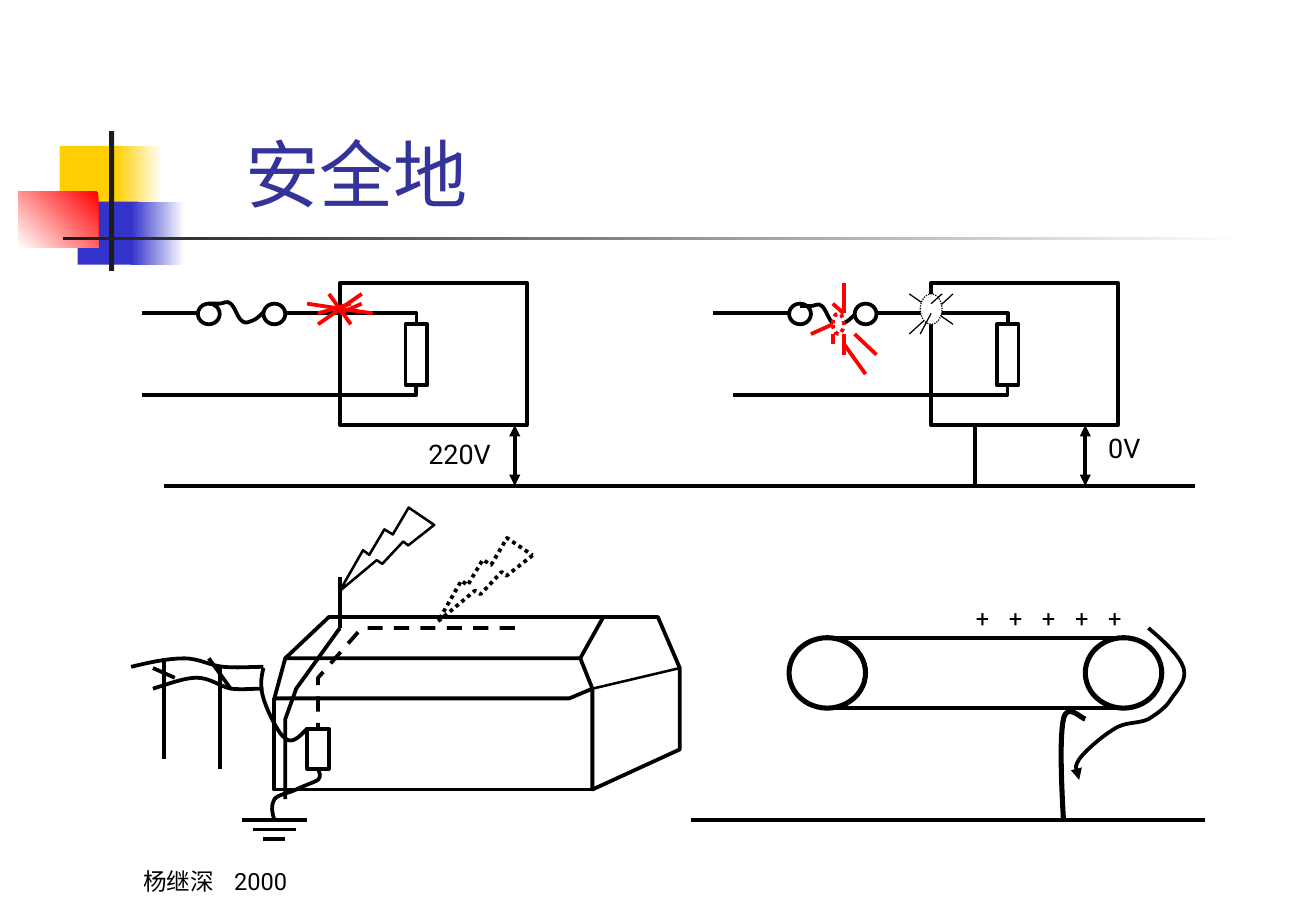
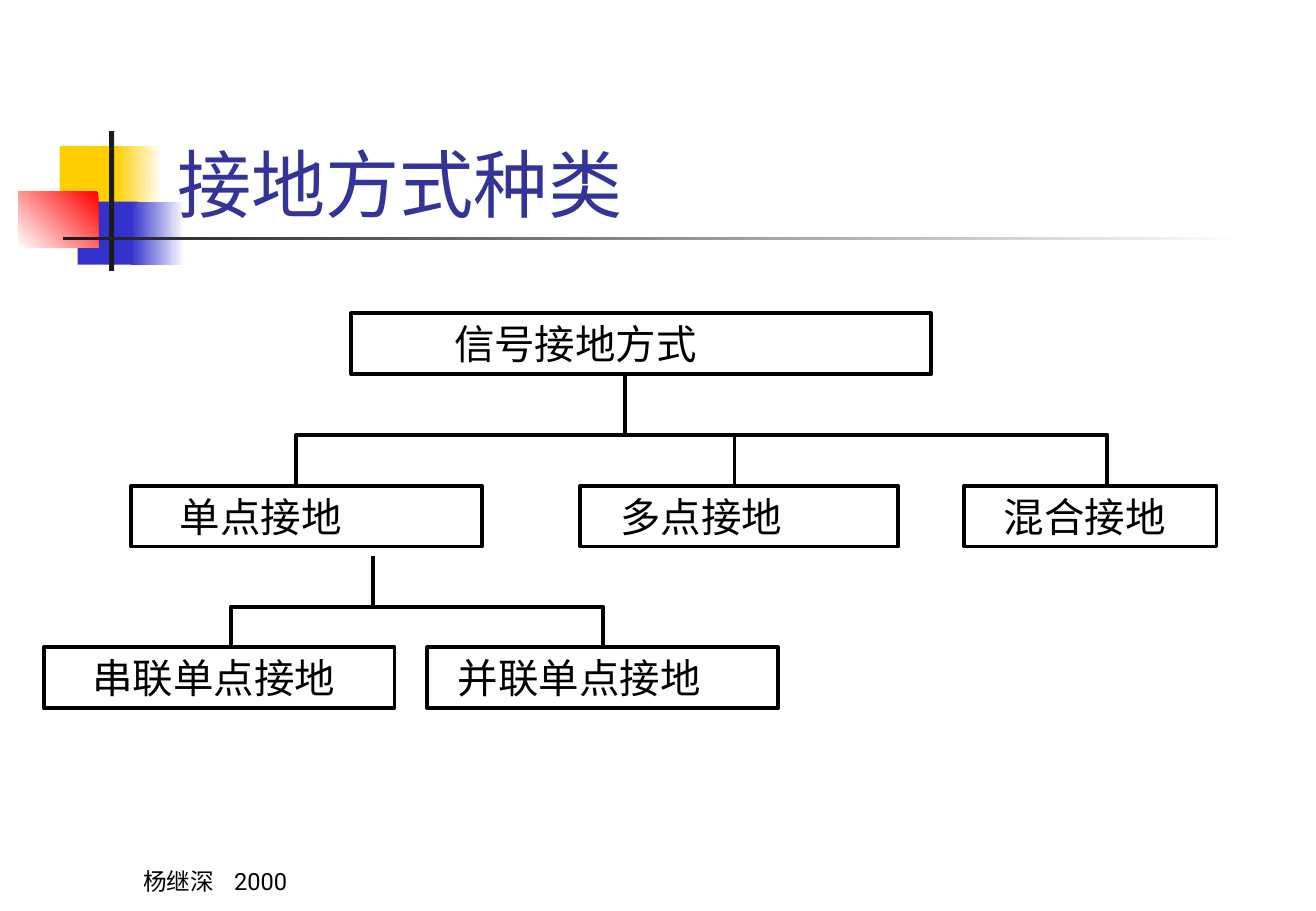
from dataclasses import dataclass

from lxml.etree import SubElement
from pptx import Presentation
from pptx.dml.color import RGBColor
from pptx.enum.dml import MSO_LINE as Dash
from pptx.enum.shapes import MSO_CONNECTOR as Connector, MSO_SHAPE as Preset
from pptx.enum.text import MSO_ANCHOR as Anchor, MSO_AUTO_SIZE as AutoSize, PP_ALIGN as Align
from pptx.oxml.ns import qn
from pptx.util import Inches, Pt


@dataclass(frozen=True)
class Theme:
    font: str = "Roboto"
    ink: str = "000000"
    title: str = "333399"
    white: str = "FFFFFF"
    yellow: str = "FFCF01"
    blue: str = "3333CC"
    red: str = "FF0000"
    charcoal: str = "1C1C1C"
    title_size: float = 44
    box_size: float = 24
    label_size: float = 16
    small_size: float = 14
    thin: float = 0.75
    medium: float = 1.5
    normal: float = 2.25
    heavy: float = 3


THEME = Theme()


def write(frame, text, size=THEME.small_size, color=THEME.ink, anchor=Anchor.TOP,
          indent=0, tab=None):
    """Put one left-aligned paragraph in a text frame."""
    frame.word_wrap = True
    frame.auto_size = AutoSize.NONE
    frame.vertical_anchor = anchor
    paragraph = frame.paragraphs[0]
    paragraph.text = text
    paragraph.alignment = Align.LEFT
    properties = paragraph.runs[0].font
    properties.name = THEME.font
    properties.size = Pt(size)
    properties.color.rgb = RGBColor.from_string(color)
    if indent:
        frame.margin_left = Inches(0.1 + indent)
    if tab:
        tabs = SubElement(paragraph._p.get_or_add_pPr(), qn("a:tabLst"))
        SubElement(tabs, qn("a:tab"), pos=str(Inches(tab)), algn="l")


class Deck:
    """The presentation, its style and the slide being drawn."""

    def __init__(self, theme):
        self.theme = theme
        self.presentation = Presentation()
        self.presentation.slide_width = Inches(10.84)
        self.presentation.slide_height = Inches(7.5)
        self.layout = self.presentation.slide_layouts[5]
        self.slide = None
        self.has_decoration = False

    def new_slide(self, title, place):
        self.slide = self.presentation.slides.add_slide(self.layout)
        if not self.has_decoration:
            self.decorate_layout()
        shape = self.slide.shapes.title
        shape.left, shape.top, shape.width, shape.height = map(Inches, place)
        write(shape.text_frame, title, size=self.theme.title_size,
              color=self.theme.title, anchor=Anchor.BOTTOM)
        self.label("杨继深\t2000", (1.08, 6.92, 2.26, 0.5),
                   anchor=Anchor.BOTTOM, tab=0.75)

    def decorate_layout(self):
        """Draw the squares and rules once, on the layout."""
        theme = self.theme
        parts = [
            ((0.49, 1.2, 0.52, 0.52), theme.yellow, None),
            ((0.95, 1.2, 0.39, 0.52), (theme.white, theme.yellow), 180),
            ((0.64, 1.66, 0.5, 0.52), theme.blue, None),
            ((1.08, 1.66, 0.44, 0.52), (theme.white, theme.blue), 180),
            ((0.15, 1.58, 0.66, 0.46), (theme.red, theme.white), 225),
            ((0.9, 1.08, 0.04, 1.15), theme.charcoal, None),
            ((0.52, 1.95, 9.75, 0.03), (theme.white, theme.charcoal), 180),
        ]
        for place, fill, angle in parts:
            shape = self.shape(place, fill=None if angle else fill, width=0)
            if angle:
                shape.fill.gradient()
                shape.fill.gradient_angle = angle
                for stop, color in zip(shape.fill.gradient_stops, fill):
                    stop.color.rgb = RGBColor.from_string(color)
            self.layout.shapes.element.append(shape.element)
        self.has_decoration = True

    def stroke(self, shape, color=THEME.ink, width=THEME.normal, dash=None,
               head=False, tail=False):
        line = shape.line
        if not width:
            line.fill.background()
            return
        line.color.rgb = RGBColor.from_string(color)
        line.width = Pt(width)
        if dash:
            line.dash_style = dash
        for wanted, tag in ((head, "a:headEnd"), (tail, "a:tailEnd")):
            if wanted:
                SubElement(shape._element.spPr.find(qn("a:ln")), qn(tag), type="triangle")

    def shape(self, place, kind=Preset.RECTANGLE, fill=None, rotation=0, **stroke):
        shape = self.slide.shapes.add_shape(kind, *map(Inches, place))
        shape.shadow.inherit = False
        shape.rotation = rotation
        if fill:
            shape.fill.solid()
            shape.fill.fore_color.rgb = RGBColor.from_string(fill)
        else:
            shape.fill.background()
        self.stroke(shape, **stroke)
        return shape

    def line(self, x1, y1, x2, y2, **stroke):
        connector = self.slide.shapes.add_connector(
            Connector.STRAIGHT, *map(Inches, (x1, y1, x2, y2)))
        SubElement(connector._element.spPr, qn("a:effectLst"))
        connector_line = connector.line
        connector_line.fill.solid()
        self.stroke(connector, **stroke)

    def outline(self, *points, closed=False, curved=False, **stroke):
        """Join points; when curved, each three after the first form a Bézier."""
        start, *rest = [(Inches(x), Inches(y)) for x, y in points]
        builder = self.slide.shapes.build_freeform(*start)
        builder.add_line_segments(rest, close=closed)
        shape = builder.convert_to_shape()
        shape.shadow.inherit = False
        shape.fill.background()
        self.stroke(shape, **stroke)
        if curved:
            route = next(shape.element.iter(qn("a:path")))
            segments = route.findall(qn("a:lnTo"))
            for first in range(0, len(segments), 3):
                bezier = SubElement(route, qn("a:cubicBezTo"))
                for segment in segments[first:first + 3]:
                    bezier.append(segment[0])
                    route.remove(segment)

    def label(self, text, place, **text_format):
        box = self.slide.shapes.add_textbox(*map(Inches, place))
        write(box.text_frame, text, **text_format)

    def text_box(self, text, place, indent):
        shape = self.shape(place)
        write(shape.text_frame, text, size=self.theme.box_size, indent=indent)


def draw_circuit(deck, left, fuse_drop):
    """Fuse, wires, load and enclosure; left is the end of the lower wire."""
    deck.shape((left + 2.17, 2.67, 0.18, 0.5))
    deck.shape((left + 1.63, 2.33, 1.54, 1.17))
    deck.outline((left + 1.18, 2.58), (left + 2.26, 2.58), (left + 2.26, 2.67))
    deck.outline((left, 3.25), (left + 2.26, 3.25), (left + 2.26, 3.17))
    for offset in (0.46, 1):
        deck.shape((left + offset, 2.5, 0.18, 0.17), Preset.OVAL)
    fuse = [(0.55, 2.5), (0.58, 2.5), (0.61, 2.5), (0.64, 2.5), (0.67, 2.5),
            (0.7, 2.47), (0.73, 2.5), (0.76, 2.52), (0.79, 2.62), (0.82, 2.64),
            (0.85, 2.67), (0.88, 2.65), (0.91, 2.64), (0.94, 2.63), (0.97, 2.6),
            (1, 2.57)]
    deck.outline(*[(left + x, y + fuse_drop) for x, y in fuse], curved=True)


def draw_faults(deck):
    theme = deck.theme
    # Short to the enclosure, and the sparks of the blown fuse
    for ends in [
        (2.62, 2.58, 2.89, 2.5), (2.71, 2.42, 2.89, 2.67), (2.62, 2.67, 2.98, 2.42),
        (2.53, 2.5, 3.07, 2.58), (2.8, 2.58, 2.98, 2.5),
        (6.68, 2.75, 6.86, 2.67), (7.13, 3.08, 6.95, 2.83), (6.95, 2.33, 6.95, 2.58),
        (6.95, 2.92, 6.95, 2.75), (7.22, 2.92, 7.04, 2.75), (6.86, 2.5, 6.95, 2.58),
        (6.86, 2.75, 6.86, 2.83),
    ]:
        deck.line(*ends, color=theme.red)
    deck.shape((6.86, 2.58, 0.09, 0.17), Preset.OVAL, fill=theme.white,
               color=theme.red, dash=Dash.ROUND_DOT)
    # Fault point on the grounded enclosure
    for ends in [(7.85, 2.42, 7.49, 2.75), (7.49, 2.42, 7.85, 2.67)]:
        deck.line(*ends, width=theme.thin)
    deck.shape((7.58, 2.42, 0.18, 0.25), Preset.OVAL, fill=theme.white,
               width=theme.thin, dash=Dash.ROUND_DOT)
    for ends in [(7.67, 2.58, 7.58, 2.75), (7.67, 2.5, 7.76, 2.42)]:
        deck.line(*ends, width=theme.thin)


def draw_building(deck):
    theme = deck.theme
    # Roof and walls
    deck.outline((2.26, 5.75), (2.35, 5.42), (2.71, 5.08), (4.97, 5.08),
                 (4.78, 5.42), (2.35, 5.42), closed=True)
    deck.outline((2.26, 5.75), (4.69, 5.75), (4.88, 5.67), (4.88, 6.5), (5.6, 6.17),
                 (5.6, 5.5), (5.42, 5.08), (4.97, 5.08))
    deck.outline((4.88, 6.5), (2.26, 6.5), (2.26, 5.75))
    deck.line(4.88, 5.67, 5.6, 5.5, width=theme.medium)
    deck.line(4.78, 5.42, 4.88, 5.67)
    # Inner conductor, arrester and ground lead
    deck.outline((4.24, 5.17), (2.98, 5.17), (2.62, 5.58), (2.62, 6), dash=Dash.DASH)
    deck.shape((2.53, 6, 0.18, 0.33))
    deck.outline((2.62, 6.33), (2.63, 6.36), (2.65, 6.39), (2.62, 6.42), (2.59, 6.44),
                 (2.5, 6.47), (2.44, 6.5), (2.38, 6.53), (2.29, 6.54), (2.26, 6.58),
                 (2.23, 6.63), (2.24, 6.69), (2.26, 6.75), curved=True)
    for step in range(3):
        inset, y = 0.09 * step, 6.75 + 0.08 * step
        deck.line(1.99 + inset, y, 2.53 - inset, y)
    # Overhead power line
    deck.outline((1.08, 5.49), (1.24, 5.45), (1.39, 5.42), (1.52, 5.42), (1.64, 5.42),
                 (1.73, 5.48), (1.84, 5.49), (1.95, 5.5), (2.06, 5.49), (2.17, 5.49),
                 curved=True)
    deck.outline((1.26, 5.67), (1.39, 5.63), (1.52, 5.58), (1.62, 5.58), (1.73, 5.58),
                 (1.81, 5.65), (1.9, 5.67), (1.99, 5.68), (2.08, 5.67), (2.17, 5.67),
                 curved=True)
    deck.outline((2.17, 5.5), (2.15, 5.58), (2.14, 5.65), (2.17, 5.75), (2.2, 5.85),
                 (2.29, 6.04), (2.35, 6.08), (2.41, 6.13), (2.47, 6.06), (2.53, 6),
                 curved=True)
    for ends in [(1.26, 5.5, 1.44, 5.58), (1.35, 5.42, 1.35, 6.25),
                 (1.72, 5.42, 1.9, 5.67), (1.81, 5.5, 1.81, 6.33)]:
        deck.line(*ends)
    # Lightning rod and strikes
    deck.outline((2.8, 5.17), (2.44, 5.67), (2.35, 5.92), (2.35, 6.58))
    deck.line(2.8, 4.75, 2.8, 5.17)
    deck.shape((2.91, 4.05, 0.5, 0.9), Preset.LIGHTNING_BOLT, rotation=73.7,
               width=theme.medium)
    deck.shape((3.72, 4.3, 0.5, 0.9), Preset.LIGHTNING_BOLT, rotation=73.7,
               dash=Dash.ROUND_DOT)


def draw_belt(deck):
    heavy = deck.theme.heavy
    for y in (5.25, 5.83):
        deck.line(6.77, y, 9.3, y)
    for x in (6.5, 8.94):
        deck.shape((x, 5.25, 0.63, 0.58), Preset.OVAL, width=heavy)
    for step in range(5):
        deck.label("+", (7.94 + 0.2725 * step, 4.92, 0.36, 0.34))
    # Discharge brush and charge flow
    deck.line(5.69, 6.75, 9.93, 6.75)
    deck.outline((8.76, 6.75), (8.74, 6.4), (8.73, 6.06), (8.76, 5.92), (8.79, 5.78),
                 (8.91, 5.92), (8.94, 5.92), curved=True, width=heavy)
    deck.outline((9.46, 5.17), (9.59, 5.28), (9.72, 5.4), (9.75, 5.5), (9.78, 5.6),
                 (9.7, 5.68), (9.65, 5.75), (9.61, 5.82), (9.54, 5.87), (9.46, 5.92),
                 (9.38, 5.96), (9.27, 5.94), (9.18, 6), (9.08, 6.06), (8.94, 6.18),
                 (8.89, 6.25), (8.85, 6.32), (8.87, 6.37), (8.89, 6.42),
                 curved=True, tail=True)


def build_safety_ground(deck):
    deck.new_slide("安全地", (1.92, 1, 8.12, 0.84))
    draw_circuit(deck, 1.17, 0)
    draw_circuit(deck, 6.04, 0.02)
    deck.line(1.17, 2.58, 1.63, 2.58)
    deck.line(5.87, 2.58, 6.5, 2.58)
    draw_faults(deck)
    # Ground line and enclosure voltages
    deck.line(1.35, 4, 9.84, 4)
    deck.line(8.03, 3.5, 8.03, 4)
    for x in (4.24, 8.94):
        deck.line(x, 3.5, x, 4, head=True, tail=True)
    deck.label("220V", (3.43, 3.55, 0.81, 0.37), size=deck.theme.label_size)
    deck.label("0V", (9.03, 3.5, 0.81, 0.37), size=deck.theme.label_size)
    draw_building(deck)
    draw_belt(deck)


def build_grounding_types(deck):
    deck.new_slide("接地方式种类", (1.36, 0.67, 9.23, 1.25))
    # Boxes of the tree: text, left, top, width, indent
    for text, left, top, width, indent in [
        ("信号接地方式", 2.89, 2.58, 4.78, 0.75),
        ("单点接地", 1.08, 4, 2.89, 0.3),
        ("多点接地", 4.78, 4, 2.62, 0.23),
        ("混合接地", 7.94, 4, 2.08, 0.23),
        ("串联单点接地", 0.36, 5.33, 2.89, 0.3),
        ("并联单点接地", 3.52, 5.33, 2.89, 0.15),
    ]:
        deck.text_box(text, (left, top, width, 0.5), indent)
    # Branches
    for left, right, top, bottom in [(2.44, 9.12, 3.58, 4), (1.9, 4.97, 5, 5.33)]:
        deck.outline((left, bottom), (left, top), (right, top), (right, bottom))
    for x, top, bottom in [(5.15, 3.08, 3.58), (6.05, 3.58, 4), (3.07, 4.58, 5)]:
        deck.line(x, top, x, bottom)


def main():
    deck = Deck(THEME)
    build_safety_ground(deck)
    build_grounding_types(deck)
    deck.presentation.save("out.pptx")


if __name__ == "__main__":
    main()
